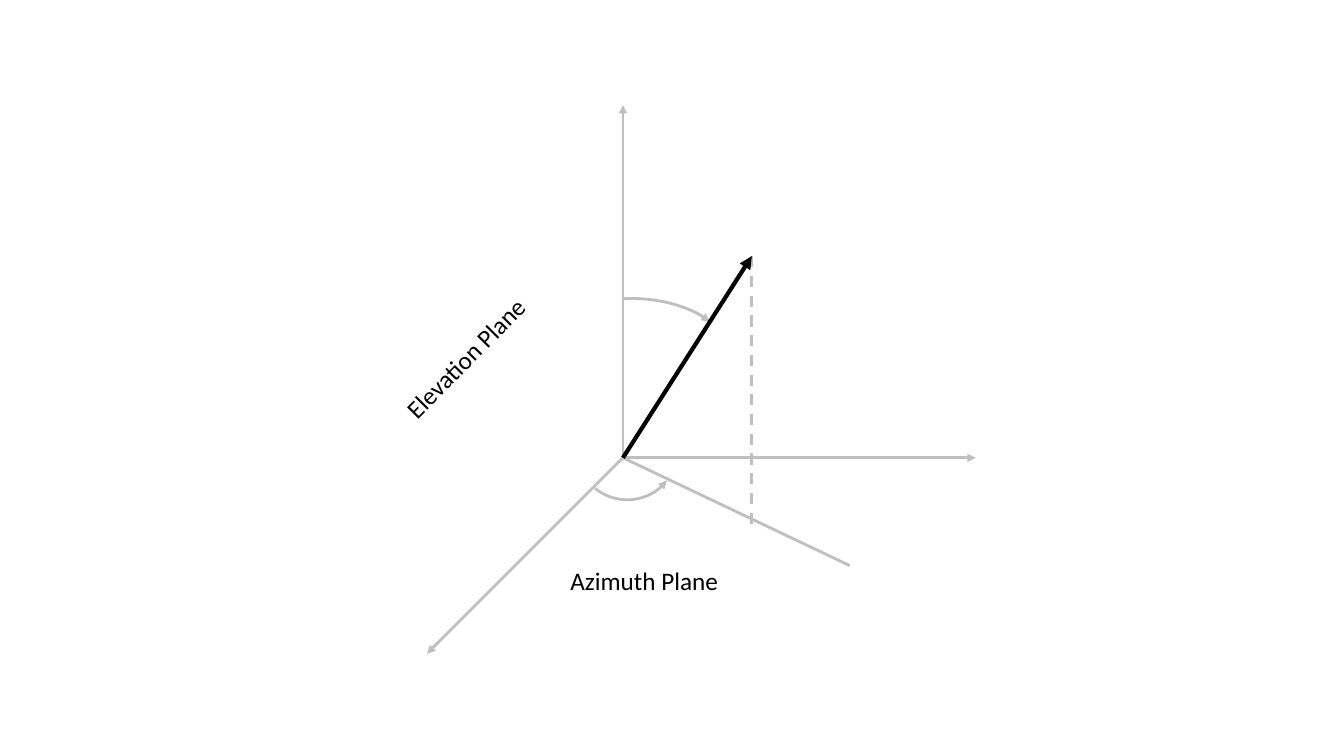
from lxml.etree import SubElement
from pptx import Presentation
from pptx.dml.color import RGBColor
from pptx.enum.dml import MSO_LINE_DASH_STYLE as DASH
from pptx.enum.shapes import MSO_CONNECTOR, MSO_SHAPE
from pptx.enum.text import MSO_AUTO_SIZE
from pptx.oxml.ns import qn
from pptx.util import Pt

COLORS = {"guide": "BFBFBF", "vector": "000000", "text": "000000"}
LABEL_FONT = {"name": "Calibri", "size": Pt(18)}

ORIGIN = (445, 327)
AXIS_TIPS = [(697, 327), (445, 75), (305, 467)]
VECTOR_TIP = (537, 183)
VECTOR_FOOT = (537, 376)
GROUND_RAY_TIP = (607, 404)


def style_line(sp, color="guide", width=2, dash=None, arrow=None):
    """Style the outline; arrow is the XML end to point: headEnd or tailEnd."""
    line = sp.line
    line.color.rgb = RGBColor.from_string(COLORS[color])
    line.width = Pt(width)
    if dash:
        line.dash_style = dash
    if arrow:
        ln = sp._element.spPr.find(qn("a:ln"))
        SubElement(ln, qn(f"a:{arrow}"), type="triangle")


def add_line(s, start, end, **style):
    sp = s.shapes.add_connector(
        MSO_CONNECTOR.STRAIGHT, *(Pt(v) for v in (*start, *end)))
    style_line(sp, **style)
    SubElement(sp._element.spPr, qn("a:effectLst"))


def add_angle_arc(s, box, rotation, angles, arrow):
    """Draw an arc whose angles are in units of 100000/60000 degree."""
    sp = s.shapes.add_shape(MSO_SHAPE.ARC, *(Pt(v) for v in box))
    sp.rotation = rotation
    for i, angle in enumerate(angles):
        sp.adjustments[i] = angle
    sp.fill.background()
    sp.shadow.inherit = False
    style_line(sp, arrow=arrow)


def add_label(s, text, box, rotation=0):
    sp = s.shapes.add_textbox(*(Pt(v) for v in box))
    sp.rotation = rotation
    tf = sp.text_frame
    tf.word_wrap = False
    tf.auto_size = MSO_AUTO_SIZE.SHAPE_TO_FIT_TEXT
    r = tf.paragraphs[0].add_run()
    r.text = text
    for name, value in LABEL_FONT.items():
        setattr(r.font, name, value)
    r.font.color.rgb = RGBColor.from_string(COLORS["text"])


def main():
    prs = Presentation()
    prs.slide_width, prs.slide_height = Pt(960), Pt(540)
    s = prs.slides.add_slide(prs.slide_layouts[6])

    for tip in AXIS_TIPS:
        add_line(s, ORIGIN, tip, arrow="tailEnd")
    add_line(s, VECTOR_TIP, VECTOR_FOOT, dash=DASH.DASH)
    add_line(s, ORIGIN, GROUND_RAY_TIP)

    add_angle_arc(s, (412, 285, 72, 72), 129.6, (161.06, 0), "headEnd")
    add_angle_arc(s, (404.6, 213.8, 113, 57), 6.6, (140.66, 202.95), "tailEnd")
    add_line(s, ORIGIN, VECTOR_TIP, color="vector", width=3, arrow="tailEnd")

    add_label(s, "Azimuth Plane", (400.3, 400.3, 121, 29))
    add_label(s, "Elevation Plane", (269.3, 240.5, 127.4, 29), 314.7)
    prs.save("out.pptx")


if __name__ == "__main__":
    main()
